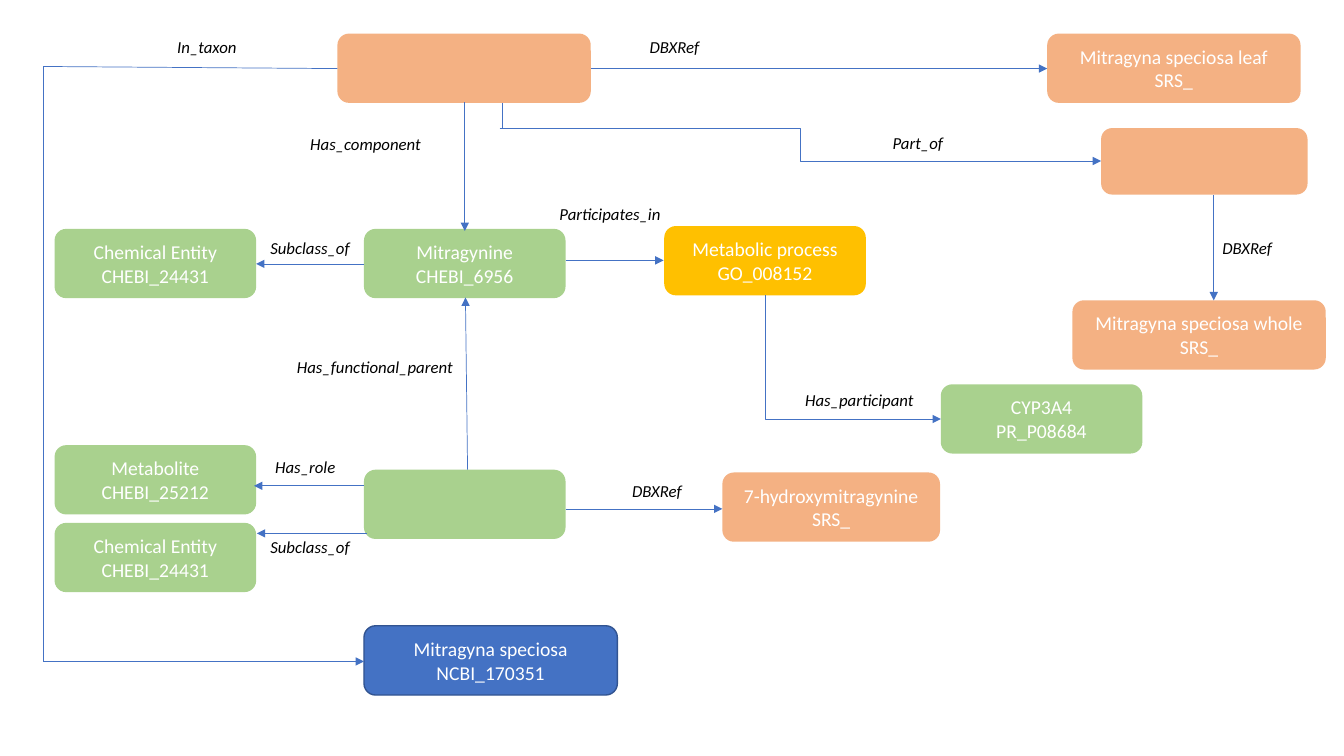
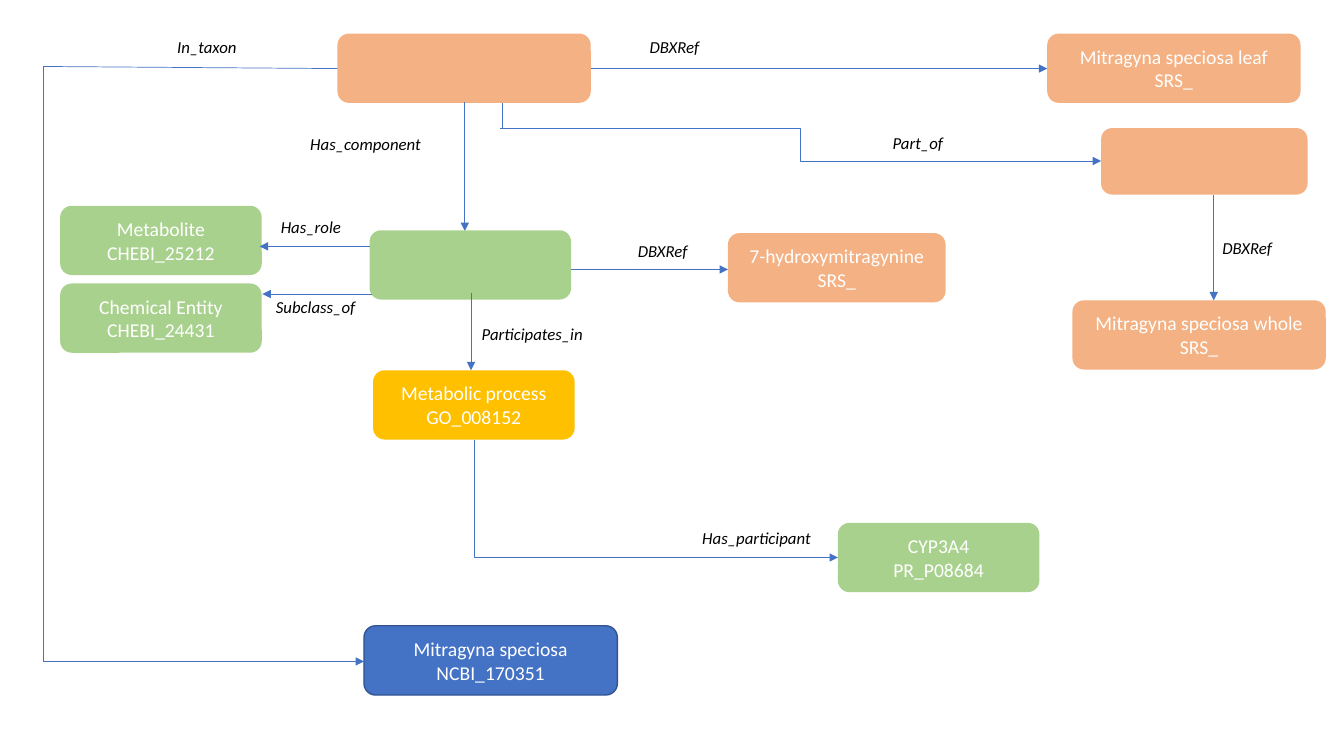
"""Build two ontology diagrams relating a plant, its compound and a metabolite."""
from pptx import Presentation
from pptx.dml.color import RGBColor
from pptx.enum.shapes import MSO_CONNECTOR as CONN, MSO_SHAPE as SHAPE
from pptx.enum.text import MSO_ANCHOR as ANCHOR, MSO_AUTO_SIZE as AUTO, PP_ALIGN as ALIGN
from pptx.oxml.ns import qn
from pptx.oxml.xmlchemy import OxmlElement
from pptx.util import Pt

ORANGE = RGBColor(0xF4, 0xB1, 0x83)
GREEN = RGBColor(0xA9, 0xD1, 0x8E)
GOLD = RGBColor(0xFF, 0xC0, 0x00)
BLUE = RGBColor(0x44, 0x72, 0xC4)
NAVY = RGBColor(0x32, 0x54, 0x91)
WHITE = RGBColor(0xFF, 0xFF, 0xFF)
BLACK = RGBColor(0x00, 0x00, 0x00)

FONT = "Calibri"
BOX_W, WIDE_W, BOX_H = 144, 181, 49.5
LABEL_H = 22
LABEL_W = {
    "Has_component": 95, "In_taxon": 57.5, "DBXRef": 50.5, "Part_of": 51,
    "Has_functional_parent": 127, "Subclass_of": 71.5, "Has_role": 58.5,
    "Participates_in": 87, "Has_participant": 93,
}
CHEMICAL = ("Chemical Entity", "CHEBI_24431")


class Diagram:
    def __init__(self, prs):
        self.prs = prs
        self.shapes = None

    def new_slide(self):
        self.shapes = self.prs.slides.add_slide(self.prs.slide_layouts[6]).shapes

    def add_text(self, p, text, size, color, italic=False):
        r = p.add_run()
        r.text = text
        r.font.name, r.font.size = FONT, Pt(size)
        r.font.color.rgb = color
        r.font.italic = italic

    def box(self, x, y, fill, lines=(), w=BOX_W, h=BOX_H, border=None):
        sp = self.shapes.add_shape(SHAPE.ROUNDED_RECTANGLE, Pt(x), Pt(y), Pt(w), Pt(h))
        sp.shadow.inherit = False
        sp.fill.solid()
        sp.fill.fore_color.rgb = fill
        if border is None:
            sp.line.fill.background()
        else:
            sp.line.color.rgb, sp.line.width = border, Pt(1)
        tf = sp.text_frame
        tf.vertical_anchor = ANCHOR.MIDDLE
        for i, line in enumerate(lines):
            p = tf.add_paragraph() if i else tf.paragraphs[0]
            p.alignment = ALIGN.CENTER
            self.add_text(p, line, 14, WHITE)

    def label(self, x, y, text):
        sp = self.shapes.add_textbox(Pt(x), Pt(y), Pt(LABEL_W[text]), Pt(LABEL_H))
        tf = sp.text_frame
        tf.word_wrap = False
        tf.auto_size = AUTO.SHAPE_TO_FIT_TEXT
        self.add_text(tf.paragraphs[0], text, 12, BLACK, italic=True)

    def line(self, x1, y1, x2, y2, kind=CONN.STRAIGHT, head=True):
        c = self.shapes.add_connector(kind, Pt(x1), Pt(y1), Pt(x2), Pt(y2))
        c.line.color.rgb, c.line.width = BLUE, Pt(0.5)
        props = c.element.spPr
        if head:
            tail = OxmlElement("a:tailEnd")
            tail.set("type", "triangle")
            props.find(qn("a:ln")).append(tail)
        props.append(OxmlElement("a:effectLst"))
        return c

    def down_then_right(self, x1, y1, x2, y2):
        mid_x, mid_y = (x1 + x2) / 2, (y1 + y2) / 2
        half_w, half_h = (y2 - y1) / 2, (x2 - x1) / 2
        c = self.line(mid_x - half_w, mid_y - half_h, mid_x + half_w, mid_y + half_h, CONN.ELBOW)
        props = c.element.spPr
        props.find(qn("a:prstGeom")).set("prst", "bentConnector2")
        xfrm = props.find(qn("a:xfrm"))
        xfrm.set("rot", "16200000")
        xfrm.set("flipH", "1")

    def plant(self):
        self.box(241, 24, ORANGE, w=WIDE_W)
        self.box(260, 447, BLUE, ("Mitragyna speciosa", "NCBI_170351"), WIDE_W, border=NAVY)
        self.box(748, 24, ORANGE, ("Mitragyna speciosa leaf", "SRS_"), WIDE_W)
        self.box(766, 214.5, ORANGE, ("Mitragyna speciosa whole", "SRS_"), WIDE_W)
        self.box(786.5, 91.5, ORANGE, w=147.5, h=47.5)
        self.line(241, 49, 31, 47.5, head=False)
        self.line(31, 47.5, 31, 472.5, head=False)
        self.line(31, 472.5, 260, 472.5)
        self.line(422, 49, 748, 49)
        self.line(867, 139.5, 867, 214.5)
        self.line(358.5, 73.5, 358.5, 91.5, head=False)
        self.line(357, 91.5, 786.5, 115, CONN.ELBOW)
        self.label(119.5, 22.5, "In_taxon")
        self.label(457, 23, "DBXRef")
        self.label(866, 166.5, "DBXRef")
        self.label(630.5, 91.5, "Part_of")

    def component(self):
        self.line(332, 73, 332, 165)
        self.label(214.5, 92, "Has_component")

    def metabolite(self, x, y):
        self.box(x, y, GREEN)
        self.box(x + 256, y + 2, ORANGE, ("7-hydroxymitragynine", "SRS_"), 155.5)
        self.box(x - 221, y - 17.5, GREEN, ("Metabolite", "CHEBI_25212"))
        self.box(x - 221, y + 38, GREEN, CHEMICAL)
        self.line(x + BOX_W, y + 28, x + 256, y + 28)
        self.line(x, y + 11.5, x - 78.5, y + 11.5)
        self.line(x + 2, y + 45.5, x - 76.5, y + 45.5)
        self.label(x + 184.5, y + 4, "DBXRef")
        self.label(x - 70.5, y - 13, "Has_role")
        self.label(x - 74, y + 44, "Subclass_of")

    def process(self, x, y, protein_x, protein_y):
        self.box(x, y, GOLD, ("Metabolic process", "GO_008152"))
        self.box(protein_x, protein_y, GREEN, ("CYP3A4", "PR_P08684"))
        self.down_then_right(x + BOX_W / 2, y + BOX_H, protein_x, protein_y + BOX_H / 2)
        self.label(protein_x - 104, protein_y, "Has_participant")


def compound_slide(d):
    d.new_slide()
    d.plant()
    d.box(260, 163.5, GREEN, ("Mitragynine", "CHEBI_6956"))
    d.component()
    d.box(39, 163.5, GREEN, CHEMICAL)
    d.line(260, 188.5, 183, 188.5)
    d.label(186, 166.5, "Subclass_of")
    d.metabolite(260, 335.5)
    d.line(334, 335.5, 332.5, 212.5)
    d.label(205, 251.5, "Has_functional_parent")
    d.process(474.5, 161.5, 672, 274.5)
    d.line(404, 186, 474, 186)
    d.label(392.5, 142, "Participates_in")


def metabolite_slide(d):
    d.new_slide()
    d.plant()
    d.component()
    d.metabolite(264, 164.5)
    d.process(266.5, 264.5, 598.5, 373.5)
    d.line(336.5, 209.5, 336.5, 264.5)
    d.label(337, 227.5, "Participates_in")


def main():
    prs = Presentation()
    prs.slide_width, prs.slide_height = Pt(960), Pt(540)
    d = Diagram(prs)
    compound_slide(d)
    metabolite_slide(d)
    prs.save("out.pptx")


if __name__ == "__main__":
    main()
